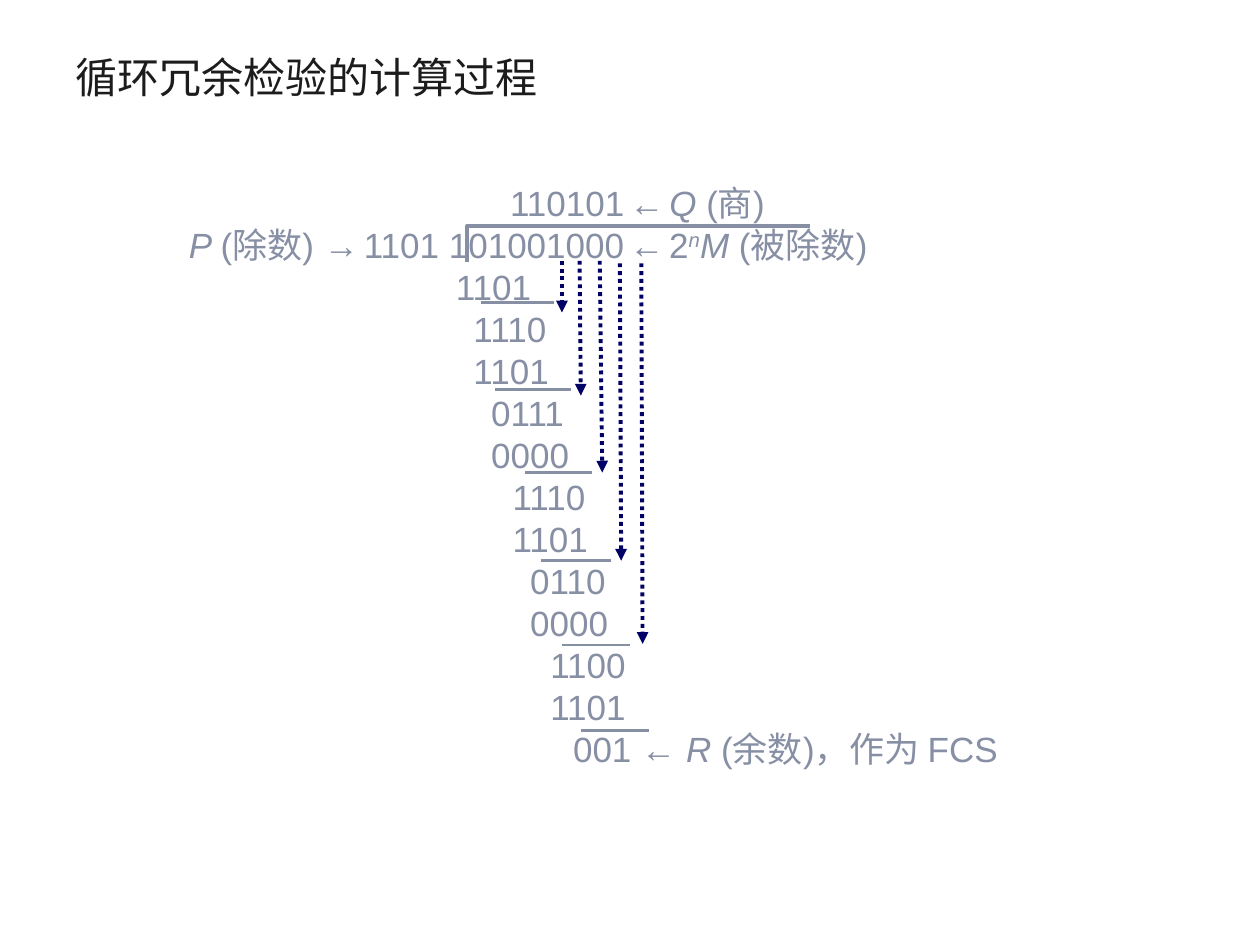
import dataclasses

import lxml.etree
import pptx
import pptx.dml.color
import pptx.enum.dml
import pptx.enum.shapes
import pptx.enum.text
import pptx.oxml.ns
import pptx.util


@dataclasses.dataclass(frozen=True)
class Theme:
    ink: str = "1C1C1C"
    digits: str = "878FA5"
    arrow: str = "000066"
    latin: str = "Arial"
    chinese: str = "Noto Sans CJK SC"
    title_size: int = 24
    body_size: int = 20
    gap_size: int = 10
    row_pitch: int = 24
    heavy: float = 2.25
    thin: float = 1.5


@dataclasses.dataclass(frozen=True)
class Box:
    """A region in grid units: the slide has 100 columns and 75 rows."""
    left: float
    top: float
    width: float
    height: float

    def point(self, column, row):
        return units(self.left + column), units(self.top + row)


THEME = Theme()
COLUMNS, ROWS = 100, 75
GAP = (" ", {"size": THEME.gap_size})
ITALIC = {"italic": True}

# Each row: left indent in columns, then its runs of text.
QUOTIENT = (28.4, [("110101", {}), GAP, ("←", {"bold": True}), GAP,
                   ("Q ", ITALIC), ("(商)", {})])
DIVIDEND = (2.9, [("P ", ITALIC), ("(除数) ", {}), ("→", {"bold": True}), GAP,
                  ("1101 101001000", {}), GAP, ("←", {}), GAP, ("2", {}),
                  ("n", {"italic": True, "raised": True}), ("M ", ITALIC),
                  ("(被除数)", {})])
REMAINDER = (33.4, [("001 ← ", {}), ("R", ITALIC), (" (余数)，作为 FCS", {})])
STEPS = [
    (24.1, ["1101"]),
    (25.5, ["1110", "1101"]),
    (26.9, ["0111", "0000"]),
    (28.6, ["1110", "1101"]),
    (30.0, ["0110", "0000"]),
    (31.6, ["1100", "1101"]),
]
# Columns and row inside the division box.
UNDERLINES = [(27.1, 32.9, 10.1), (28.2, 34.2, 17.0), (30.6, 35.9, 23.6),
              (31.8, 37.4, 30.6), (33.5, 38.9, 37.3), (35.0, 40.4, 44.1)]
BRING_DOWNS = [(33.5, 6.8, 33.5, 10.9), (34.9, 6.8, 35.0, 17.5),
               (36.5, 6.8, 36.7, 23.6), (38.1, 7.0, 38.2, 30.6),
               (39.8, 7.0, 39.9, 37.2)]
BRACKET = [(26.0, 6.9), (26.0, 4.0), (53.2, 4.0)]


def units(count):
    return pptx.util.Inches(count / 10)


def rgb(colour):
    return pptx.dml.color.RGBColor.from_string(colour)


def add_run(paragraph, text, size=THEME.body_size, colour=THEME.digits,
            latin=THEME.latin, bold=False, italic=False, raised=False):
    run = paragraph.add_run()
    run.text = text
    font = run.font
    font.size, font.bold, font.italic = pptx.util.Pt(size), bold, italic
    font.color.rgb = rgb(colour)
    font.name = latin
    properties = run._r.get_or_add_rPr()
    east_asian = lxml.etree.SubElement(properties, pptx.oxml.ns.qn("a:ea"))
    east_asian.set("typeface", THEME.chinese)
    if raised:
        properties.set("baseline", "30000")


def add_frame(slide, box):
    label = slide.shapes.add_textbox(*box.point(0, 0), units(box.width), units(box.height))
    label.text_frame.word_wrap = True
    return label.text_frame


def add_line(slide, start, end, colour, weight):
    line = slide.shapes.add_connector(
        pptx.enum.shapes.MSO_CONNECTOR.STRAIGHT, *start, *end)
    line.line.color.rgb = rgb(colour)
    line.line.width = pptx.util.Pt(weight)
    lxml.etree.SubElement(line._element.spPr, pptx.oxml.ns.qn("a:effectLst"))
    return line


def add_title(slide, box):
    frame = add_frame(slide, box)
    frame.vertical_anchor = pptx.enum.text.MSO_ANCHOR.MIDDLE
    add_run(frame.paragraphs[0], "循环冗余检验的计算过程", size=THEME.title_size,
            colour=THEME.ink, latin=THEME.chinese)


def add_working(slide, box):
    """Write the long division, one paragraph a row."""
    frame = add_frame(slide, box)
    frame.auto_size = pptx.enum.text.MSO_AUTO_SIZE.SHAPE_TO_FIT_TEXT
    step_rows = [(indent, [(digits, {})]) for indent, rows in STEPS for digits in rows]
    for index, (indent, runs) in enumerate([QUOTIENT, DIVIDEND, *step_rows, REMAINDER]):
        paragraph = frame.add_paragraph() if index else frame.paragraphs[0]
        properties = paragraph._p.get_or_add_pPr()
        properties.set("marL", str(units(indent)))
        properties.set("indent", "0")
        paragraph.line_spacing = pptx.util.Pt(THEME.row_pitch)
        for text, style in runs:
            add_run(paragraph, text, **style)


def add_bracket(slide, box):
    corners = [box.point(*corner) for corner in BRACKET]
    builder = slide.shapes.build_freeform(*corners[0])
    builder.add_line_segments(corners[1:], close=False)
    bracket = builder.convert_to_shape()
    bracket.shadow.inherit = False
    bracket.fill.background()
    bracket.line.color.rgb = rgb(THEME.digits)
    bracket.line.width = pptx.util.Pt(THEME.heavy)


def add_bring_downs(slide, box):
    """Draw the dotted arrows that carry each next digit down."""
    for left, top, right, bottom in BRING_DOWNS:
        arrow = add_line(slide, box.point(left, top), box.point(right, bottom),
                         THEME.arrow, THEME.heavy)
        arrow.line.dash_style = pptx.enum.dml.MSO_LINE.ROUND_DOT
        head = lxml.etree.SubElement(arrow.line._get_or_add_ln(),
                                     pptx.oxml.ns.qn("a:tailEnd"))
        head.set("type", "triangle")


def add_underlines(slide, box):
    for left, right, row in UNDERLINES:
        add_line(slide, box.point(left, row), box.point(right, row),
                 THEME.digits, THEME.thin)


def add_division(slide, box):
    for add_part in (add_working, add_bracket, add_bring_downs, add_underlines):
        add_part(slide, box)


def main():
    deck = pptx.Presentation()
    deck.slide_width, deck.slide_height = units(COLUMNS), units(ROWS)
    slide = deck.slides.add_slide(deck.slide_layouts[6])
    add_title(slide, Box(5, 3, 90, 6.1))
    add_division(slide, Box(11.1, 13.9, 88.6, 47.7))
    deck.save("out.pptx")


if __name__ == "__main__":
    main()
